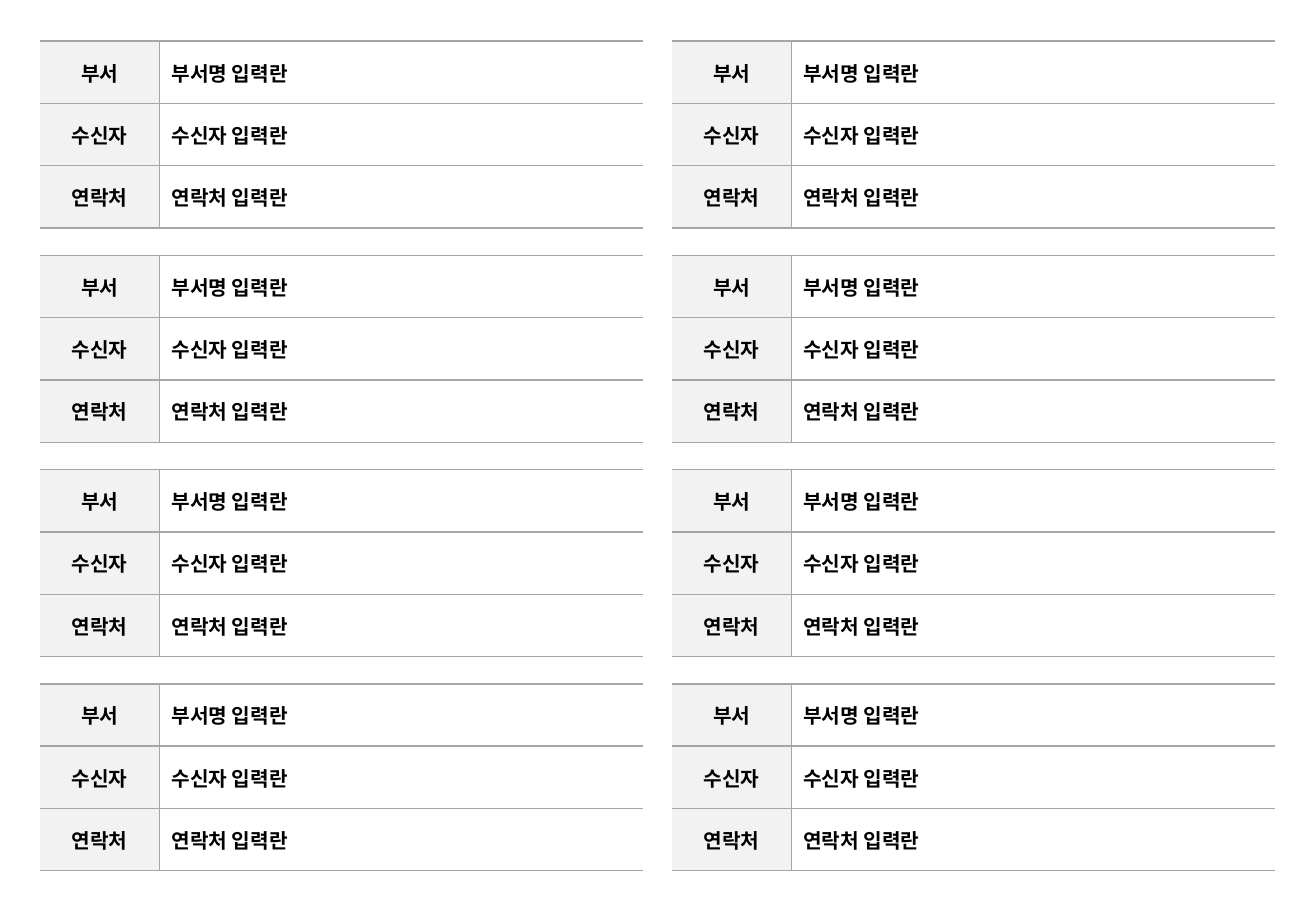
from dataclasses import dataclass
from itertools import product

from lxml.etree import SubElement
from pptx import Presentation
from pptx.dml.color import RGBColor
from pptx.enum.text import MSO_ANCHOR, PP_ALIGN
from pptx.oxml.ns import qn
from pptx.util import Cm, Pt


@dataclass(frozen=True)
class Theme:
    font: str = "Calibri"
    size: int = 12
    text: str = "000000"
    label_fill: str = "F2F2F2"
    entry_fill: str = "FFFFFF"
    rule: str = "A6A6A6"
    rule_width: int = 1


THEME = Theme()
FIELDS = [
    ("부서", "부서명 입력란"),
    ("수신자", "수신자 입력란"),
    ("연락처", "연락처 입력란"),
]
LABEL_WIDTH = 2.49


def set_borders(cell, ruled):
    """Rule the named sides (L, R, T, B) and clear the others."""
    tcPr = cell._tc.get_or_add_tcPr()
    for side in "LRTB":
        ln = SubElement(tcPr, qn(f"a:ln{side}"), w=str(Pt(THEME.rule_width)))
        if side in ruled:
            fill = SubElement(ln, qn("a:solidFill"))
            SubElement(fill, qn("a:srgbClr"), val=THEME.rule)
        else:
            SubElement(ln, qn("a:noFill"))


def fill_cell(cell, text, color, align, ruled):
    set_borders(cell, ruled)
    cell.fill.solid()
    cell.fill.fore_color.rgb = RGBColor.from_string(color)
    cell.vertical_anchor = MSO_ANCHOR.MIDDLE
    cell.text = text
    p = cell.text_frame.paragraphs[0]
    p.alignment = align
    p.font.name = THEME.font
    p.font.size = Pt(THEME.size)
    p.font.bold = True
    p.font.color.rgb = RGBColor.from_string(THEME.text)


def add_address_label(s, left, top, width, height):
    """Place one recipient table in the given box, in centimetres."""
    table = s.shapes.add_table(len(FIELDS), 2, Cm(left), Cm(top),
                               Cm(width), Cm(height)).table
    table.first_row = table.horz_banding = False
    table.columns[0].width = Cm(LABEL_WIDTH)
    table.columns[1].width = Cm(width - LABEL_WIDTH)
    for i, (label, entry) in enumerate(FIELDS):
        table.rows[i].height = Cm(height / len(FIELDS))
        fill_cell(table.cell(i, 0), label, THEME.label_fill, PP_ALIGN.CENTER, "RTB")
        fill_cell(table.cell(i, 1), entry, THEME.entry_fill, PP_ALIGN.LEFT, "LTB")


def add_label_sheet(s, left, top, width, height, columns=2, rows=4, gap_x=0.61, gap_y=0.57):
    """Divide the box into an even grid of address labels."""
    label_w = (width - (columns - 1) * gap_x) / columns
    label_h = (height - (rows - 1) * gap_y) / rows
    for row, col in product(range(rows), range(columns)):
        add_address_label(s, left + col * (label_w + gap_x),
                          top + row * (label_h + gap_y), label_w, label_h)


def main():
    prs = Presentation()
    prs.slide_width, prs.slide_height = Cm(27.51), Cm(19.05)
    s = prs.slides.add_slide(prs.slide_layouts[6])
    add_label_sheet(s, left=0.84, top=0.86, width=25.81, height=17.35)
    prs.save("out.pptx")


if __name__ == "__main__":
    main()
